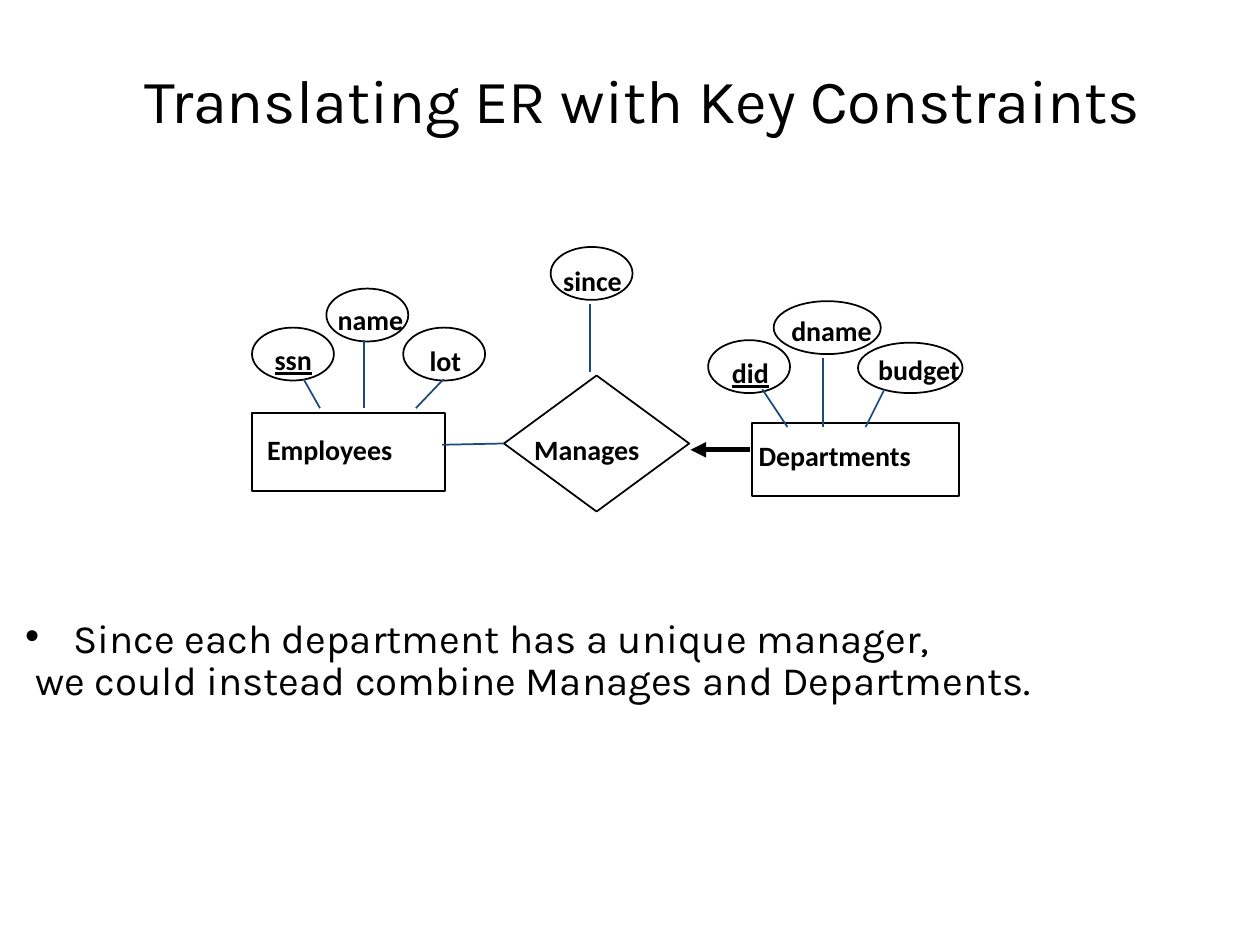
from lxml import etree
from pptx import Presentation
from pptx.dml.color import RGBColor
from pptx.enum import shapes, text
from pptx.oxml import ns
from pptx.util import Inches, Pt

COLORS = {"ink": "000000", "link": "1F497D"}

presentation = Presentation()
presentation.slide_width = Inches(10)
presentation.slide_height = Inches(7.5)
column = presentation.slide_width / 100
row = presentation.slide_height / 75

slide = presentation.slides.add_slide(presentation.slide_layouts[5])


def place(left, top, width, height):
    return [round(left * column), round(top * row), round(width * column), round(height * row)]


def format_text(shape, size, font_name, bold=False, underline=None):
    frame = shape.text_frame
    frame.margin_left = frame.margin_right = round(column / 2)
    frame.margin_top = frame.margin_bottom = round(row / 2)
    for paragraph in frame.paragraphs:
        font = paragraph.font
        font.size, font.name = Pt(size), font_name
        font.bold, font.underline = bold, underline
        font.color.rgb = RGBColor.from_string(COLORS["ink"])
    return frame


title = slide.shapes.title
title.left, title.top, title.width, title.height = place(6, 1.8, 90, 12.1)
title.text = "Translating ER with Key Constraints"
title_frame = format_text(title, 35.1, "Karla")
title_frame.auto_size = text.MSO_AUTO_SIZE.NONE
title_frame.vertical_anchor = text.MSO_ANCHOR.MIDDLE
title_frame.paragraphs[0].alignment = text.PP_ALIGN.CENTER

body = slide.shapes.add_textbox(*place(1.5, 45, 99.2, 14.1))
body.text_frame.text = (
    "Since each department has a unique manager,\n"
    "we could instead combine Manages and Departments."
)
bullet_paragraph, second_paragraph = body.text_frame.paragraphs
bullet_properties = bullet_paragraph._p.get_or_add_pPr()
bullet_properties.set("marL", str(round(3.8 * column)))
bullet_properties.set("indent", str(round(-3.8 * column)))
etree.SubElement(bullet_properties, ns.qn("a:buFont"), typeface="Arial")
etree.SubElement(bullet_properties, ns.qn("a:buChar"), char="•")
second_paragraph._p.get_or_add_pPr().set("marL", str(round(0.8 * column)))
body_frame = format_text(body, 23, "Karla")
body_frame.word_wrap = True
body_frame.margin_top = round(4.7 * row)
bullet_paragraph.line_spacing = second_paragraph.line_spacing = 0.7
second_paragraph.space_before = Pt(5)

OVAL = shapes.MSO_SHAPE.OVAL
RECTANGLE = shapes.MSO_SHAPE.RECTANGLE
DIAMOND = shapes.MSO_SHAPE.DIAMOND
nodes = [
    ("did", OVAL, (56.2, 27, 6.5, 4.2), (57.6, 27.7, 4), True),
    ("budget", OVAL, (68.1, 27.2, 8.3, 4), (69.2, 27.5, 8.1), False),
    ("dname", OVAL, (61.4, 23.9, 8.5, 4.2), (62.3, 24.4, 7.8), False),
    ("since", OVAL, (43.7, 19.6, 6.5, 4.2), (44.2, 20.4, 6.4), False),
    ("name", OVAL, (25.9, 22.9, 6.5, 4.2), (26.3, 23.5, 6.5), False),
    ("ssn", OVAL, (20, 26, 6.5, 4.2), (21.3, 26.7, 4.4), True),
    ("lot", OVAL, (32, 26, 6.5, 4.2), (33.6, 26.8, 3.7), False),
    ("Manages", DIAMOND, (40, 29.8, 14.7, 10.8), (41.9, 33.8, 10.3), False),
    ("Departments", RECTANGLE, (59.7, 33.6, 16.4, 5.8), (59.7, 34.3, 14.2), False),
    ("Employees", RECTANGLE, (20, 32.8, 15.3, 6.2), (20.7, 33.8, 11.9), False),
]
outlines = {}
for name, kind, box, (left, top, width), is_key in nodes:
    outline = slide.shapes.add_shape(kind, *place(*box))
    outline.shadow.inherit = False
    outline.fill.background()
    outline.line.color.rgb = RGBColor.from_string(COLORS["ink"])
    outline.line.width = Pt(1)
    outlines[name] = outline
    label = slide.shapes.add_textbox(*place(left, top, width, 3.9))
    label.text_frame.text = name
    label_frame = format_text(label, 16, "Calibri", True, is_key)
    label_frame.word_wrap = False

links = {
    "Employees to Manages": (40, 35.3, 35.1, 35.3),
    "Departments to Manages": (54.8, 35.7, 59.5, 35.7),
    "lot": (35.2, 30.1, 33, 32.4),
    "name": (28.9, 27, 28.9, 32.4),
    "ssn": (24.1, 30.1, 25.4, 32.4),
    "since": (46.8, 24.1, 46.8, 29.5),
    "did": (60.5, 30.9, 62.5, 33.9),
    "dname": (65.3, 28.4, 65.3, 33.9),
    "budget": (70.2, 30.9, 68.7, 33.9),
}
for name, ends in links.items():
    link = slide.shapes.add_connector(shapes.MSO_CONNECTOR.STRAIGHT, *place(*ends))
    is_arrow = name == "Departments to Manages"
    link.line.color.rgb = RGBColor.from_string(COLORS["ink" if is_arrow else "link"])
    link.line.width = Pt(3 if is_arrow else 1)
    if is_arrow:
        etree.SubElement(link.line._get_or_add_ln(), ns.qn("a:headEnd"), type="triangle")
    if name == "Employees to Manages":
        link.begin_connect(outlines["Manages"], 1)
    etree.SubElement(link._element.spPr, ns.qn("a:effectLst"))

presentation.save("out.pptx")
